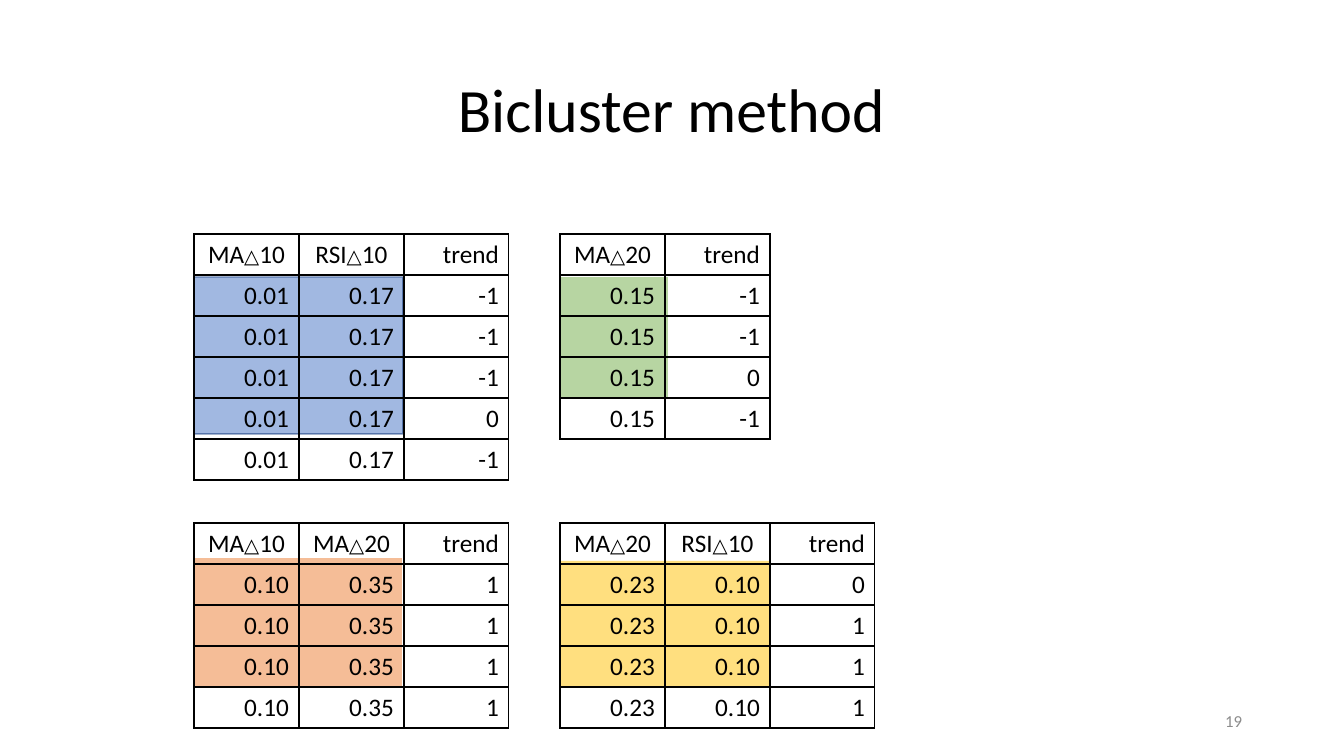
"""Build the slide "Bicluster method": four small tables with their biclusters shaded."""
import pptx
import pptx.dml.color
import pptx.enum.shapes
import pptx.enum.text
import pptx.oxml
import pptx.oxml.ns
import pptx.util

PX = 914400 / 100.8
COLUMN, ROW = 105, 41
ALIGN = pptx.enum.text.PP_ALIGN
MIDDLE = pptx.enum.text.MSO_ANCHOR.MIDDLE
NS = pptx.oxml.ns.nsdecls("a")


def px(*lengths):
    return [pptx.util.Emu(round(length * PX)) for length in lengths]


def write(paragraph, text, align, size, colour="000000"):
    paragraph.alignment = align
    for part in text.replace("△", "|△|").split("|"):
        run = paragraph.add_run()
        run.text = part
        run.font.name = "Calibri"
        run.font.size = pptx.util.Pt(14 if part == "△" else size)
        run.font.color.rgb = pptx.dml.color.RGBColor.from_string(colour)


deck = pptx.Presentation()
deck.slide_width, deck.slide_height = px(1344, 756)
slide = deck.slides.add_slide(deck.slide_layouts[5])

title = slide.shapes.title
title.left, title.top, title.width, title.height = px(92, 40, 1159, 146)
title.text_frame.vertical_anchor = MIDDLE
heading = title.text_frame.paragraphs[0]
heading.line_spacing = 0.9
write(heading, "Bicluster method", ALIGN.CENTER, 44)

biclusters = [
    ((194, 234), ["MA△10", "RSI△10"], ["0.01", "0.17"], [-1, -1, -1, 0, -1],
     (194, 277, 209, 157), "4472C4", "2F528F"),
    ((560, 234), ["MA△20"], ["0.15"], [-1, -1, 0, -1],
     (560, 277, 108, 121), "70AD47", None),
    ((194, 523), ["MA△10", "MA△20"], ["0.10", "0.35"], [1, 1, 1, 1],
     (195, 558, 207, 128), "ED7D31", None),
    ((560, 523), ["MA△20", "RSI△10"], ["0.23", "0.10"], [0, 1, 1, 1],
     (560, 561, 210, 125), "FFC000", None),
]

for corner, features, values, trends, area, colour, outline in biclusters:
    shade = slide.shapes.add_shape(pptx.enum.shapes.MSO_SHAPE.RECTANGLE, *px(*area))
    shade.shadow.inherit = False
    shade.fill.solid()
    shade.fill.fore_color.rgb = pptx.dml.color.RGBColor.from_string(colour)
    shade.line.fill.background()
    if outline:
        shade.line.color.rgb = pptx.dml.color.RGBColor.from_string(outline)
        shade.line.width = pptx.util.Pt(1)
    opacities = [50, 66]
    for srgb, opacity in zip(shade._element.spPr.iter(pptx.oxml.ns.qn("a:srgbClr")), opacities):
        srgb.append(pptx.oxml.parse_xml(f'<a:alpha {NS} val="{opacity * 1000}"/>'))

    rows = [features + ["trend"]] + [values + [str(trend)] for trend in trends]
    columns = len(rows[0])
    size = (columns * COLUMN, len(rows) * ROW)
    table = slide.shapes.add_table(len(rows), columns, *px(*corner, *size)).table
    table.first_row = table.horz_banding = False
    for column in table.columns:
        column.width = px(COLUMN)[0]
    for r, row in enumerate(rows):
        table.rows[r].height = px(ROW)[0]
        for c, text in enumerate(row):
            cell = table.cell(r, c)
            align = ALIGN.CENTER if "△" in text else ALIGN.RIGHT
            write(cell.text_frame.paragraphs[0], text, align, 18)
            cell.vertical_anchor = MIDDLE
            properties = cell._tc.get_or_add_tcPr()
            for side in ("lnL", "lnR", "lnT", "lnB"):
                properties.append(pptx.oxml.parse_xml(
                    f'<a:{side} {NS} w="12700"><a:solidFill><a:srgbClr val="000000"/>'
                    f'</a:solidFill></a:{side}>'))
            cell.fill.background()

page = slide.shapes.add_textbox(*px(950, 701, 302, 40)).text_frame
page.word_wrap = True
page.vertical_anchor = MIDDLE
write(page.paragraphs[0], "19", ALIGN.RIGHT, 12, "8C8C8C")

deck.save("out.pptx")
